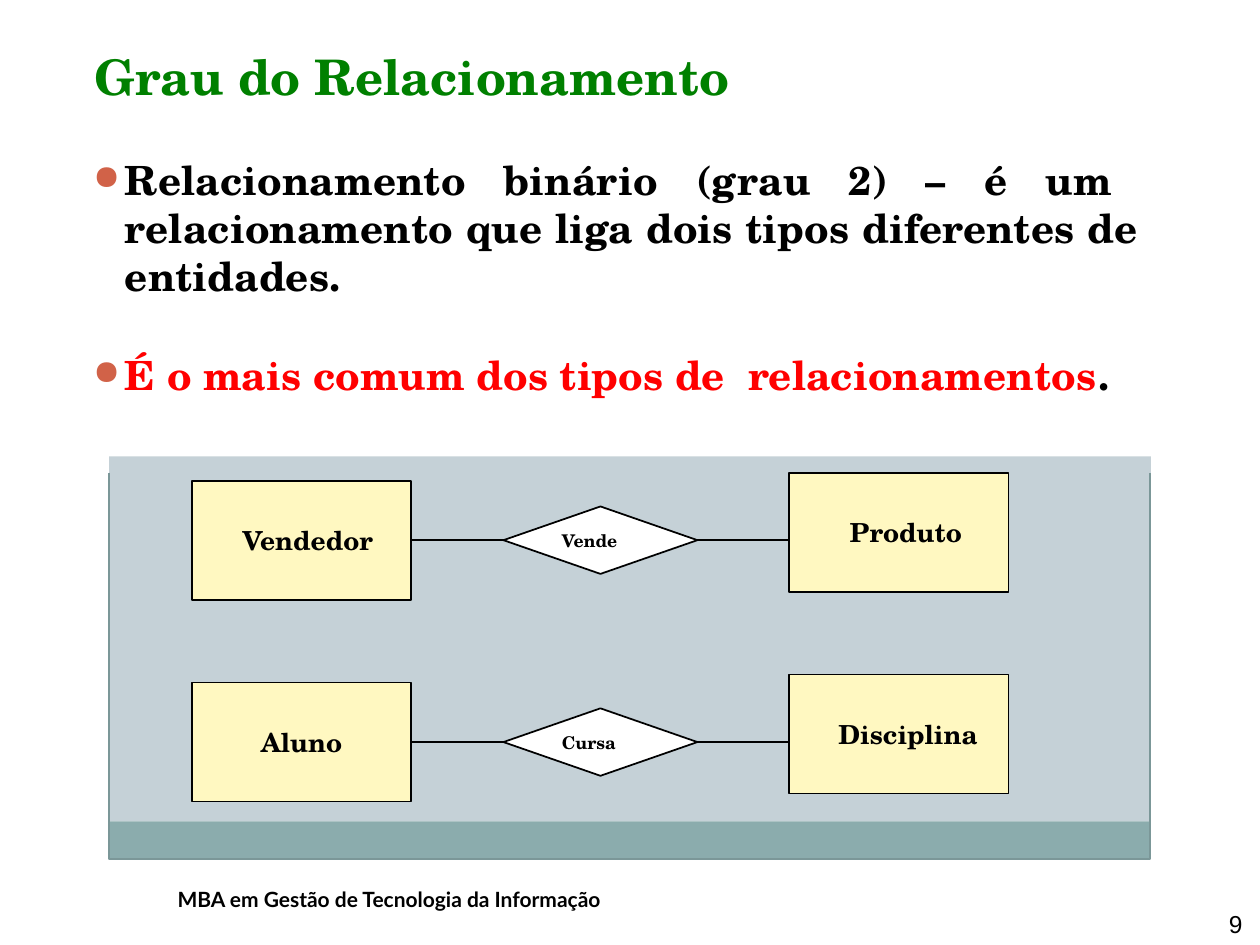
from dataclasses import dataclass
from typing import Any, Optional

from lxml.etree import SubElement
from pptx import Presentation
from pptx.dml.color import RGBColor as Rgb
from pptx.enum.shapes import MSO_CONNECTOR as Link, MSO_SHAPE as Preset
from pptx.enum.text import MSO_ANCHOR as Anchor, MSO_AUTO_SIZE as AutoSize, PP_ALIGN as Align
from pptx.oxml.ns import qn
from pptx.util import Cm, Pt


@dataclass(frozen=True)
class Theme:
    serif: str = "TeX Gyre Schola"
    sans: str = "Lato"
    number: str = "Arial"
    ink: str = "000000"
    title: str = "008000"
    emphasis: str = "FF0000"
    bullet: str = "D16248"
    panel: str = "C5D1D7"
    band: str = "8BACAD"
    frame: str = "7B9798"
    entity: str = "FFF8C1"
    relation: str = "FFFFFF"
    title_size: float = 28
    body_size: float = 23
    entity_size: float = 15
    number_size: float = 14
    footer_size: float = 12
    relation_size: float = 10
    outline: float = 1
    link: float = 1.2


THEME = Theme()


@dataclass(frozen=True)
class Box:
    left: float
    top: float
    width: float
    height: float


@dataclass(frozen=True)
class Entity:
    name: str
    indent: Optional[float]


@dataclass(frozen=True)
class Relationship:
    source: Entity
    verb: str
    target: Entity


RELATIONSHIPS = (
    Relationship(Entity("Vendedor", 1.02), "Vende", Entity("Produto", 1.22)),
    Relationship(Entity("Aluno", None), "Cursa", Entity("Disciplina", 0.99)),
)
FIRST_AXIS, ROW_STEP = 10.89, 4.07
ENTITY_WIDTH, ENTITY_HEIGHT = 4.42, 2.4
RELATION_WIDTH, RELATION_HEIGHT = 3.91, 1.36
SOURCE_LEFT, RELATION_LEFT, TARGET_LEFT = 3.87, 10.15, 15.91
TARGET_RISE = 0.16
PANEL = Box(2.2, 9.2, 21, 7.36)
BAND = Box(2.2, 16.56, 20.98, 0.75)
FRAME_TOP = 9.53


def apply(target: Any, values: dict[str, Any]) -> None:
    for attribute, value in values.items():
        setattr(target, attribute, value)


def place(box: Box) -> tuple[Cm, Cm, Cm, Cm]:
    return Cm(box.left), Cm(box.top), Cm(box.width), Cm(box.height)


def set_margins(frame: Any, left: float = 0, top: float = 0.03, right: float = 0, bottom: float = 0) -> None:
    apply(frame, {"margin_left": Cm(left), "margin_top": Cm(top),
                  "margin_right": Cm(right), "margin_bottom": Cm(bottom)})


def add_run(paragraph: Any, text: str, size: float, face: str = THEME.serif,
            color: str = THEME.ink, bold: bool = True) -> None:
    run = paragraph.add_run()
    run.text = text
    apply(run.font, {"size": Pt(size), "name": face, "bold": bold})
    run.font.color.rgb = Rgb.from_string(color)


def add_bullet(paragraph: Any) -> None:
    properties = paragraph._p.get_or_add_pPr()
    apply_xml = {"marL": str(Cm(0.69)), "indent": str(Cm(-0.64))}
    for attribute, value in apply_xml.items():
        properties.set(attribute, value)
    tint = SubElement(properties, qn("a:buClr"))
    SubElement(tint, qn("a:srgbClr"), val=THEME.bullet)
    SubElement(properties, qn("a:buSzPct"), val="85000")
    SubElement(properties, qn("a:buChar"), char="●")


def add_shape(slide: Any, preset: Any, box: Box, fill: str, outline: Optional[str] = None) -> Any:
    shape = slide.shapes.add_shape(preset, *place(box))
    shape.shadow.inherit = False
    shape.fill.solid()
    shape.fill.fore_color.rgb = Rgb.from_string(fill)
    if outline:
        shape.line.color.rgb = Rgb.from_string(outline)
        shape.line.width = Pt(THEME.outline)
    else:
        shape.line.fill.background()
    return shape


def add_label(shape: Any, text: str, size: float, indent: Optional[float]) -> None:
    frame = shape.text_frame
    set_margins(frame, left=indent or 0, top=0)
    apply(frame, {"word_wrap": True, "vertical_anchor": Anchor.MIDDLE})
    paragraph = frame.paragraphs[0]
    paragraph.alignment = Align.CENTER if indent is None else Align.LEFT
    add_run(paragraph, text, size)


def add_entity(slide: Any, entity: Entity, left: float, axis: float) -> Any:
    box = Box(left, axis - ENTITY_HEIGHT / 2, ENTITY_WIDTH, ENTITY_HEIGHT)
    shape = add_shape(slide, Preset.RECTANGLE, box, THEME.entity, THEME.ink)
    add_label(shape, entity.name, THEME.entity_size, entity.indent)
    return shape


def add_link(slide: Any, start: float, end: float, axis: float) -> Any:
    link = slide.shapes.add_connector(Link.STRAIGHT, Cm(start), Cm(axis), Cm(end), Cm(axis))
    link.line.color.rgb = Rgb.from_string(THEME.ink)
    link.line.width = Pt(THEME.link)
    SubElement(link._element.spPr, qn("a:effectLst"))
    return link


def add_relationship(slide: Any, relationship: Relationship, axis: float) -> None:
    source = add_entity(slide, relationship.source, SOURCE_LEFT, axis)
    add_entity(slide, relationship.target, TARGET_LEFT, axis - TARGET_RISE)
    box = Box(RELATION_LEFT, axis - RELATION_HEIGHT / 2, RELATION_WIDTH, RELATION_HEIGHT)
    relation = add_shape(slide, Preset.DIAMOND, box, THEME.relation, THEME.ink)
    add_label(relation, relationship.verb, THEME.relation_size, 0.2)
    incoming = add_link(slide, SOURCE_LEFT + ENTITY_WIDTH, RELATION_LEFT, axis)
    incoming.begin_connect(source, 3)
    incoming.end_connect(relation, 1)
    outgoing = add_link(slide, RELATION_LEFT + RELATION_WIDTH, TARGET_LEFT, axis)
    outgoing.begin_connect(relation, 3)


def add_panel(slide: Any) -> None:
    add_shape(slide, Preset.RECTANGLE, PANEL, THEME.panel)
    add_shape(slide, Preset.RECTANGLE, BAND, THEME.band)
    right, bottom = BAND.left + BAND.width, BAND.top + BAND.height
    builder = slide.shapes.build_freeform(Cm(BAND.left), Cm(FRAME_TOP))
    corners = ((BAND.left, bottom), (right, bottom), (right, FRAME_TOP))
    builder.add_line_segments([(Cm(x), Cm(y)) for x, y in corners], close=False)
    frame = builder.convert_to_shape()
    frame.shadow.inherit = False
    frame.fill.background()
    frame.line.color.rgb = Rgb.from_string(THEME.frame)
    frame.line.width = Pt(THEME.outline)


def add_text(slide: Any, box: Box, anchor: Any = Anchor.TOP) -> Any:
    frame = slide.shapes.add_textbox(*place(box)).text_frame
    apply(frame, {"word_wrap": True, "vertical_anchor": anchor})
    return frame


def add_title(slide: Any) -> None:
    title = slide.shapes.title
    apply(title, dict(zip(("left", "top", "width", "height"), place(Box(1.88, 0.91, 12.85, 1.24)))))
    frame = title.text_frame
    set_margins(frame)
    apply(frame, {"word_wrap": True, "auto_size": AutoSize.NONE, "vertical_anchor": Anchor.TOP})
    frame.paragraphs[0].alignment = Align.CENTER
    add_run(frame.paragraphs[0], "Grau do Relacionamento", THEME.title_size, color=THEME.title)


def add_body(slide: Any) -> None:
    frame = add_text(slide, Box(1.83, 3.1, 21.39, 4.95))
    set_margins(frame)
    definition, remark = frame.paragraphs[0], frame.add_paragraph()
    for paragraph in (definition, remark):
        add_bullet(paragraph)
        paragraph.alignment = Align.JUSTIFY
    remark.space_before = Pt(28.6)
    add_run(definition, "Relacionamento binário (grau 2) – é um  relacionamento que liga "
            "dois tipos diferentes de  entidades.", THEME.body_size)
    add_run(remark, "É o mais comum dos tipos de  relacionamentos", THEME.body_size, color=THEME.emphasis)
    add_run(remark, ".", THEME.body_size)


def main() -> None:
    deck = Presentation()
    apply(deck, {"slide_width": Cm(25.4), "slide_height": Cm(19.05)})
    slide = deck.slides.add_slide(deck.slide_layouts[5])
    add_title(slide)
    add_body(slide)
    add_panel(slide)
    for row, relationship in enumerate(RELATIONSHIPS):
        add_relationship(slide, relationship, FIRST_AXIS + row * ROW_STEP)
    footer = add_text(slide, Box(3.33, 17.75, 10.08, 0.76), Anchor.MIDDLE).paragraphs[0]
    add_run(footer, "MBA em Gestão de Tecnologia da Informação", THEME.footer_size, THEME.sans)
    number = add_text(slide, Box(24, 18.26, 1.3, 0.79), Anchor.BOTTOM).paragraphs[0]
    number.alignment = Align.RIGHT
    add_run(number, "9", THEME.number_size, THEME.number, bold=False)
    deck.save("out.pptx")


if __name__ == "__main__":
    main()
